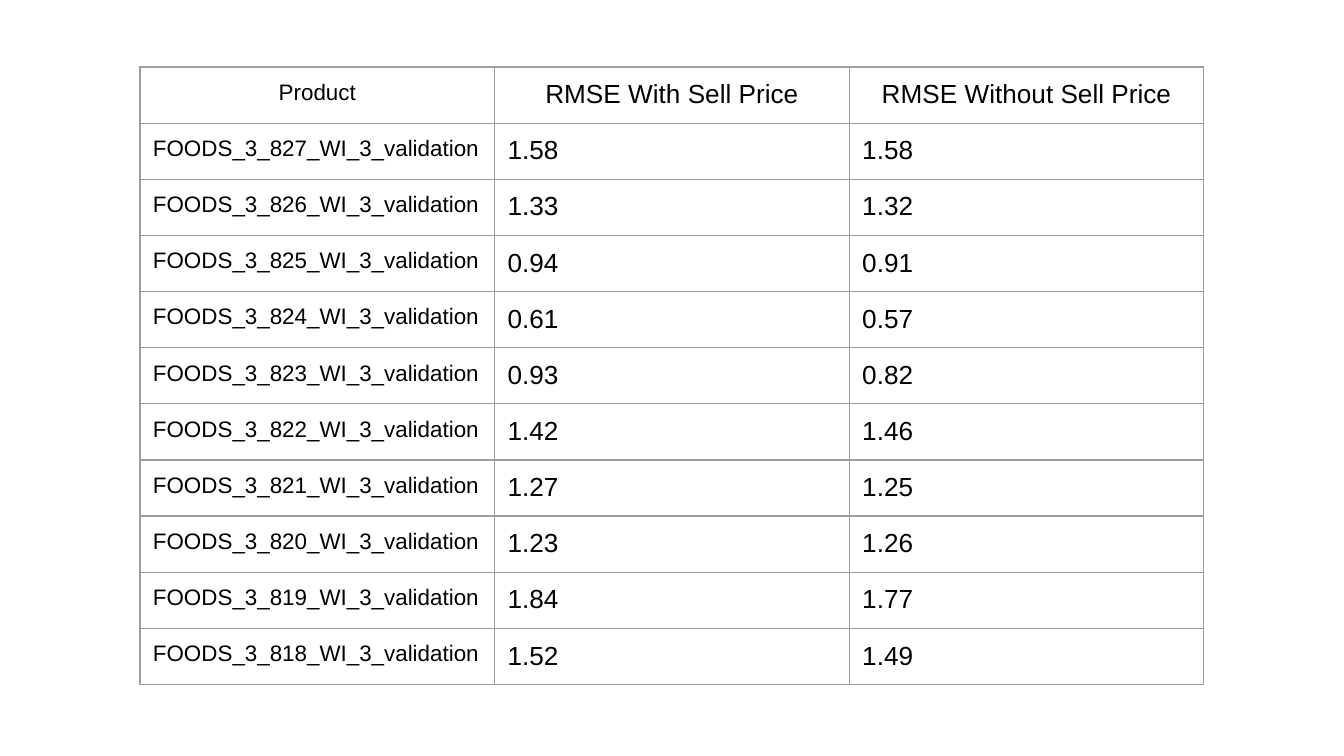
from lxml import etree
from pptx import Presentation, util as u
from pptx.dml.color import RGBColor
from pptx.enum import text
from pptx.oxml import ns

PIXEL = 914400 / 134.4
COLORS = {"background": "FFFFFF", "text": "000000", "border": "9E9E9E"}
HEADERS = ["Product", "RMSE With Sell Price", "RMSE Without Sell Price"]
SCORES = [
    ("1.58", "1.58"),
    ("1.33", "1.32"),
    ("0.94", "0.91"),
    ("0.61", "0.57"),
    ("0.93", "0.82"),
    ("1.42", "1.46"),
    ("1.27", "1.25"),
    ("1.23", "1.26"),
    ("1.84", "1.77"),
    ("1.52", "1.49"),
]


def px(value):
    return u.Emu(round(value * PIXEL))


def add_borders(cell):
    properties = cell._tc.get_or_add_tcPr()
    for position, side in enumerate(("lnL", "lnR", "lnT", "lnB")):
        line = etree.Element(ns.qn(f"a:{side}"), w=str(u.Pt(0.75)))
        fill = etree.SubElement(line, ns.qn("a:solidFill"))
        etree.SubElement(fill, ns.qn("a:srgbClr"), val=COLORS["border"])
        properties.insert(position, line)


presentation = Presentation()
presentation.slide_width = px(1344)
presentation.slide_height = px(756)
slide = presentation.slides.add_slide(presentation.slide_layouts[6])
slide.background.fill.solid()
slide.background.fill.fore_color.rgb = RGBColor.from_string(COLORS["background"])

rows = [HEADERS]
for number, scores in zip(range(827, 817, -1), SCORES):
    rows.append([f"FOODS_3_{number}_WI_3_validation", *scores])

table = slide.shapes.add_table(
    len(rows), len(HEADERS), px(140), px(67), px(1064), px(618)
).table
table.first_row = False
table.horz_banding = False

for row_index, row in enumerate(rows):
    for column_index, content in enumerate(row):
        cell = table.cell(row_index, column_index)
        cell.fill.background()
        add_borders(cell)
        cell.margin_left = cell.margin_right = px(13)
        cell.margin_top = cell.margin_bottom = px(13)
        cell.vertical_anchor = text.MSO_ANCHOR.TOP
        paragraph = cell.text_frame.paragraphs[0]
        paragraph.alignment = text.PP_ALIGN.LEFT if row_index else text.PP_ALIGN.CENTER
        run = paragraph.add_run()
        run.text = content
        run.font.name = "Arial"
        run.font.size = u.Pt(14 if column_index else 12)
        run.font.color.rgb = RGBColor.from_string(COLORS["text"])

presentation.save("out.pptx")
